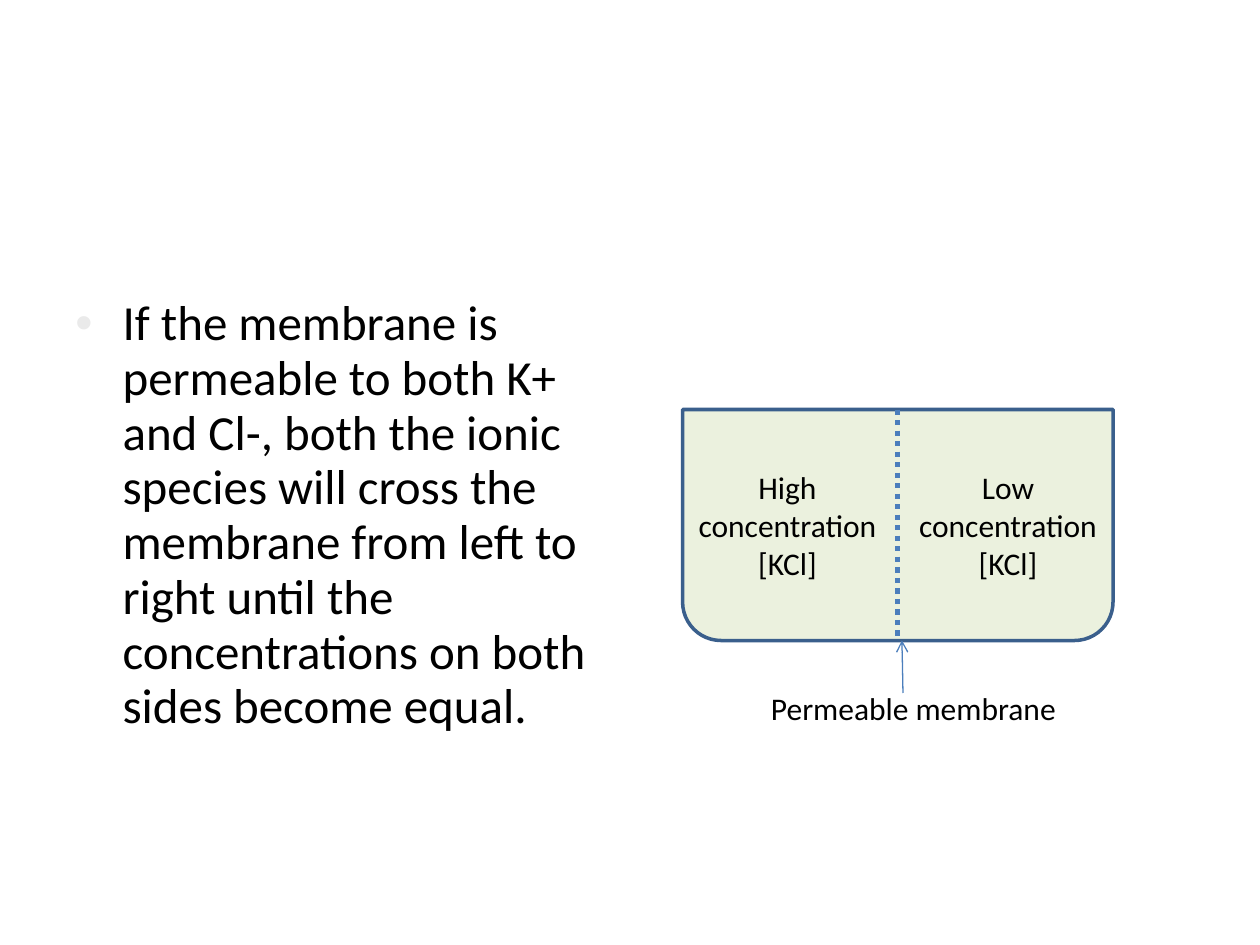
from lxml import etree
from pptx import Presentation
from pptx import util as u
from pptx.dml.color import RGBColor
from pptx.enum import dml, shapes, text
from pptx.oxml.ns import qn

PX = 7620  # 120 px to the inch
BLACK = RGBColor(0x00, 0x00, 0x00)
BULLET_GREY = "EAEAEA"
VESSEL_FILL = RGBColor(0xEB, 0xF1, 0xDE)
VESSEL_EDGE = RGBColor(0x3A, 0x5F, 0x8C)
MEMBRANE_BLUE = RGBColor(0x4B, 0x7E, 0xBC)

prs = Presentation()
prs.slide_width, prs.slide_height = 1200 * PX, 900 * PX
slide = prs.slides.add_slide(prs.slide_layouts[6])


def add_text(left, top, width, height, words, size, align):
    box = slide.shapes.add_textbox(left * PX, top * PX, width * PX, height * PX)
    box.text_frame.word_wrap = True
    paragraph = box.text_frame.paragraphs[0]
    paragraph.alignment = align
    run = paragraph.add_run()
    run.text = words
    run.font.name = "Calibri"
    run.font.size = u.Pt(size)
    run.font.color.rgb = BLACK
    return paragraph


def add_line(x1, y1, x2, y2, weight):
    line = slide.shapes.add_connector(
        shapes.MSO_CONNECTOR.STRAIGHT, x1 * PX, y1 * PX, x2 * PX, y2 * PX)
    line.line.color.rgb = MEMBRANE_BLUE
    line.line.width = u.Pt(weight)
    etree.SubElement(line._element.spPr, qn("a:effectLst"))
    return line


# Explanation
explanation = add_text(
    60, 277, 530, 527,
    "If the membrane is permeable to both K+ and Cl-, both the ionic species "
    "will cross the membrane from left to right until the concentrations on "
    "both sides become equal.",
    28, text.PP_ALIGN.LEFT)
explanation.line_spacing = 0.93
bullet_props = explanation._p.get_or_add_pPr()
bullet_props.set("marL", str(45 * PX))
bullet_props.set("indent", str(-45 * PX))
bullet_colour = etree.SubElement(bullet_props, qn("a:buClr"))
etree.SubElement(bullet_colour, qn("a:srgbClr"), val=BULLET_GREY)
etree.SubElement(bullet_props, qn("a:buFont"), typeface="Arial")
etree.SubElement(bullet_props, qn("a:buChar"), char="•")

# Vessel, divided by the membrane
vessel = slide.shapes.add_shape(
    shapes.MSO_SHAPE.ROUND_2_SAME_RECTANGLE, 650 * PX, 390 * PX, 410 * PX, 220 * PX)
vessel.rotation = 180
vessel.shadow.inherit = False
vessel.fill.solid()
vessel.fill.fore_color.rgb = VESSEL_FILL
vessel.line.color.rgb = VESSEL_EDGE
vessel.line.width = u.Pt(2)

membrane = add_line(855, 390, 855, 610, 3)
membrane.line.dash_style = dml.MSO_LINE.ROUND_DOT

for left, level in ((650, "High"), (860, "Low")):
    add_text(left, 440, 200, 121, f"{level} concentration [KCl]", 18,
             text.PP_ALIGN.CENTER)

# Membrane label
pointer = add_line(860, 660, 859, 610, 0.75)
etree.SubElement(pointer.line._get_or_add_ln(), qn("a:tailEnd"), type="arrow")
add_text(630, 650, 480, 50, "Permeable membrane", 18, text.PP_ALIGN.CENTER)

prs.save("out.pptx")
